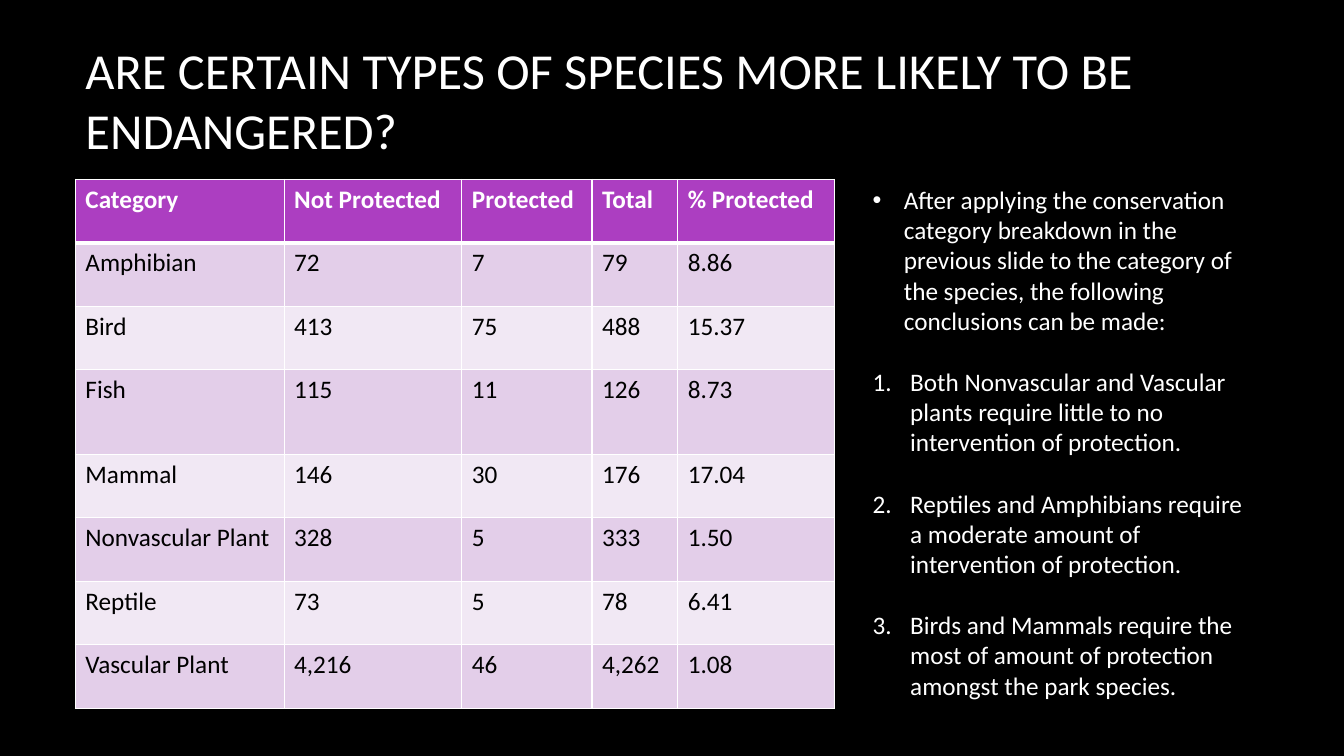
from lxml import etree
from pptx import Presentation
from pptx.dml.color import RGBColor
from pptx.enum import text
from pptx.oxml import ns
from pptx.util import Cm, Pt

TITLE = "ARE CERTAIN TYPES OF SPECIES MORE LIKELY TO BE ENDANGERED?"
ROWS = [
    ("Category", "Not Protected", "Protected", "Total", "% Protected"),
    ("Amphibian", "72", "7", "79", "8.86"),
    ("Bird", "413", "75", "488", "15.37"),
    ("Fish", "115", "11", "126", "8.73"),
    ("Mammal", "146", "30", "176", "17.04"),
    ("Nonvascular Plant", "328", "5", "333", "1.50"),
    ("Reptile", "73", "5", "78", "6.41"),
    ("Vascular Plant", "4,216", "46", "4,262", "1.08"),
]
INTRO = ("After applying the conservation category breakdown in the previous slide "
         "to the category of the species, the following conclusions can be made:")
CONCLUSIONS = [
    "Both Nonvascular and Vascular plants require little to no intervention of protection.",
    "Reptiles and Amphibians require a moderate amount of intervention of protection.",
    "Birds and Mammals require the most of amount of protection amongst the park species.",
]
COLORS = {"background": "000000", "light": "FFFFFF", "dark": "000000",
          "header": "AC3EC1", "odd": "E3CEE9", "even": "F1E8F4"}
FONT = "Calibri"
LEFT, TOP, BODY_HEIGHT = Cm(1.9), Cm(4.52), Cm(13.34)
COLUMN_WIDTHS = [Cm(w) for w in (5.26, 4.48, 3.28, 2.16, 3.94)]
ROW_HEIGHT, TALL_ROW_HEIGHT, TALL_ROW = Cm(1.6), Cm(2.13), 3


def rgb(name):
    return RGBColor.from_string(COLORS[name])


def add_run(p, words, size, color, bold=False):
    r = p.add_run()
    r.text = words
    r.font.name, r.font.size, r.font.bold = FONT, Pt(size), bold
    r.font.color.rgb = rgb(color)


def set_border(cell, side, width):
    """Draw one side (L, R, T or B) of a cell; call before filling the cell."""
    ln = etree.SubElement(cell._tc.get_or_add_tcPr(), ns.qn("a:ln" + side), w=str(Pt(width)))
    fill = etree.SubElement(ln, ns.qn("a:solidFill"))
    etree.SubElement(fill, ns.qn("a:srgbClr"), val=COLORS["light"])


def set_bullet(p, indent, tag, **attributes):
    pPr = p._p.get_or_add_pPr()
    pPr.set("marL", str(indent))
    pPr.set("indent", str(-indent))
    etree.SubElement(pPr, ns.qn("a:buFont"), typeface="Arial" if tag == "a:buChar" else FONT)
    etree.SubElement(pPr, ns.qn(tag), **attributes)


def add_title(slide):
    title = slide.shapes.title
    title.left, title.top, title.width, title.height = LEFT, Cm(0.48), Cm(28.14), Cm(4.04)
    tf = title.text_frame
    tf.word_wrap, tf.vertical_anchor = True, text.MSO_ANCHOR.MIDDLE
    p = tf.paragraphs[0]
    p.alignment = text.PP_ALIGN.LEFT
    add_run(p, TITLE, 36, "light")


def add_species_table(slide):
    table = slide.shapes.add_table(len(ROWS), len(COLUMN_WIDTHS), LEFT, TOP,
                                   sum(COLUMN_WIDTHS), BODY_HEIGHT).table
    for column, width in zip(table.columns, COLUMN_WIDTHS):
        column.width = width
    for i, values in enumerate(ROWS):
        table.rows[i].height = TALL_ROW_HEIGHT if i == TALL_ROW else ROW_HEIGHT
        header = i == 0
        fill = "header" if header else "odd" if i % 2 else "even"
        for j, value in enumerate(values):
            cell = table.cell(i, j)
            for side in "LRTB":
                under_header = (i, side) in ((0, "B"), (1, "T"))
                set_border(cell, side, 3 if under_header else 1)
            cell.fill.solid()
            cell.fill.fore_color.rgb = rgb(fill)
            add_run(cell.text_frame.paragraphs[0], value, 18,
                    "light" if header else "dark", header)


def add_conclusions(slide):
    tf = slide.shapes.add_textbox(Cm(21.74), TOP, Cm(10.21), BODY_HEIGHT).text_frame
    tf.word_wrap = True
    p = tf.paragraphs[0]
    set_bullet(p, Cm(0.79), "a:buChar", char="•")
    add_run(p, INTRO, 18, "light")
    for conclusion in CONCLUSIONS:
        p = tf.add_paragraph()
        p.space_before = Pt(22)
        set_bullet(p, Cm(0.95), "a:buAutoNum", type="arabicPeriod")
        add_run(p, conclusion, 18, "light")


def main():
    prs = Presentation()
    prs.slide_width, prs.slide_height = Cm(33.87), Cm(19.05)
    slide = prs.slides.add_slide(prs.slide_layouts[5])
    slide.background.fill.solid()
    slide.background.fill.fore_color.rgb = rgb("background")
    add_title(slide)
    add_species_table(slide)
    add_conclusions(slide)
    prs.save("out.pptx")


if __name__ == "__main__":
    main()
